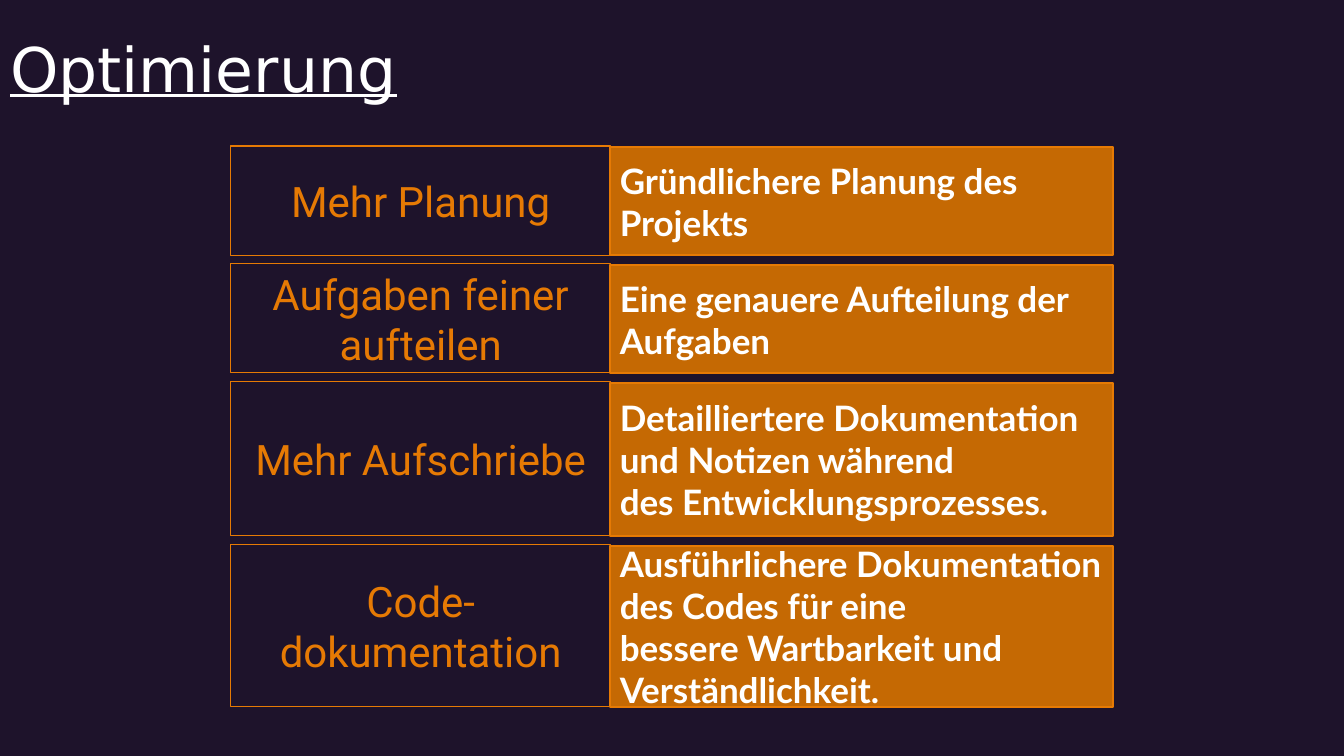
from dataclasses import dataclass

from pptx import Presentation
from pptx.dml.color import RGBColor
from pptx.enum.shapes import MSO_SHAPE
from pptx.enum.text import MSO_ANCHOR, PP_ALIGN
from pptx.shapes.group import GroupShape
from pptx.slide import Slide
from pptx.text.text import TextFrame
from pptx.util import Cm, Pt


@dataclass(frozen=True)
class TextStyle:
    font: str
    size: float
    color: RGBColor
    align: PP_ALIGN
    bold: bool = False
    underline: bool = False


@dataclass(frozen=True)
class Theme:
    background: RGBColor
    accent: RGBColor
    detail_fill: RGBColor
    title: TextStyle
    measure: TextStyle
    detail: TextStyle


@dataclass(frozen=True)
class Box:
    """A rectangle's place, in centimetres."""
    left: float
    top: float
    width: float
    height: float


@dataclass(frozen=True)
class Improvement:
    measure: str
    details: tuple[str, ...]
    height: float


WHITE = RGBColor(0xFF, 0xFF, 0xFF)
ORANGE = RGBColor(0xE6, 0x7A, 0x04)
THEME = Theme(
    background=RGBColor(0x1E, 0x13, 0x2B),
    accent=ORANGE,
    detail_fill=RGBColor(0xC5, 0x69, 0x03),
    title=TextStyle("DejaVu Sans", 44, WHITE, PP_ALIGN.LEFT, underline=True),
    measure=TextStyle("Roboto", 30, ORANGE, PP_ALIGN.CENTER),
    detail=TextStyle("Lato", 25, WHITE, PP_ALIGN.LEFT, bold=True),
)

IMPROVEMENTS = (
    Improvement("Mehr Planung", ("Gründlichere Planung des Projekts",), 2.75),
    Improvement("Aufgaben feiner aufteilen",
                ("Eine genauere Aufteilung der Aufgaben",), 2.75),
    Improvement("Mehr Aufschriebe",
                ("Detailliertere Dokumentation und Notizen während",
                 "des Entwicklungsprozesses."), 3.88),
    Improvement("Code-dokumentation",
                ("Ausführlichere Dokumentation des Codes für eine",
                 "bessere Wartbarkeit und Verständlichkeit."), 4.09),
)

ROWS_TOP = 3.68
ROW_GAP = 0.22
MEASURE_LEFT, MEASURE_WIDTH = 5.82, 9.57
DETAIL_LEFT, DETAIL_WIDTH = 15.37, 12.67
DETAIL_DROP = 0.03


def write(frame: TextFrame, lines: tuple[str, ...], style: TextStyle) -> None:
    frame.word_wrap = True
    frame.vertical_anchor = MSO_ANCHOR.MIDDLE
    for index, line in enumerate(lines):
        paragraph = frame.add_paragraph() if index else frame.paragraphs[0]
        paragraph.alignment = style.align
        run = paragraph.add_run()
        run.text = line
        run.font.name = style.font
        run.font.size = Pt(style.size)
        run.font.color.rgb = style.color
        run.font.bold = style.bold
        run.font.underline = style.underline


def draw_box(row: GroupShape, box: Box, lines: tuple[str, ...], style: TextStyle,
             line_width: float, fill: RGBColor | None = None) -> None:
    rectangle = row.shapes.add_shape(
        MSO_SHAPE.RECTANGLE, Cm(box.left), Cm(box.top), Cm(box.width), Cm(box.height))
    rectangle.shadow.inherit = False
    if fill is None:
        rectangle.fill.background()
    else:
        rectangle.fill.solid()
        rectangle.fill.fore_color.rgb = fill
    rectangle.line.color.rgb = THEME.accent
    rectangle.line.width = Pt(line_width)
    write(rectangle.text_frame, lines, style)


def draw_improvement(slide: Slide, improvement: Improvement, top: float) -> None:
    row = slide.shapes.add_group_shape()
    measure_box = Box(MEASURE_LEFT, top, MEASURE_WIDTH, improvement.height)
    detail_box = Box(DETAIL_LEFT, top + DETAIL_DROP, DETAIL_WIDTH,
                     improvement.height - DETAIL_DROP)
    draw_box(row, measure_box, (improvement.measure,), THEME.measure, 0.75)
    draw_box(row, detail_box, improvement.details, THEME.detail, 1.5, THEME.detail_fill)


def draw_title(slide: Slide) -> None:
    title = slide.shapes.title
    title.left, title.top, title.width, title.height = Cm(0), Cm(0), Cm(29.21), Cm(3.68)
    write(title.text_frame, ("Optimierung",), THEME.title)
    title.text_frame.paragraphs[0].line_spacing = 0.9


def main() -> None:
    presentation = Presentation()
    presentation.slide_width, presentation.slide_height = Cm(33.87), Cm(19.05)
    slide = presentation.slides.add_slide(
        presentation.slide_layouts.get_by_name("Title Only"))
    slide.background.fill.solid()
    slide.background.fill.fore_color.rgb = THEME.background

    draw_title(slide)
    top = ROWS_TOP
    for improvement in IMPROVEMENTS:
        draw_improvement(slide, improvement, top)
        top += improvement.height + ROW_GAP

    presentation.save("out.pptx")


if __name__ == "__main__":
    main()
